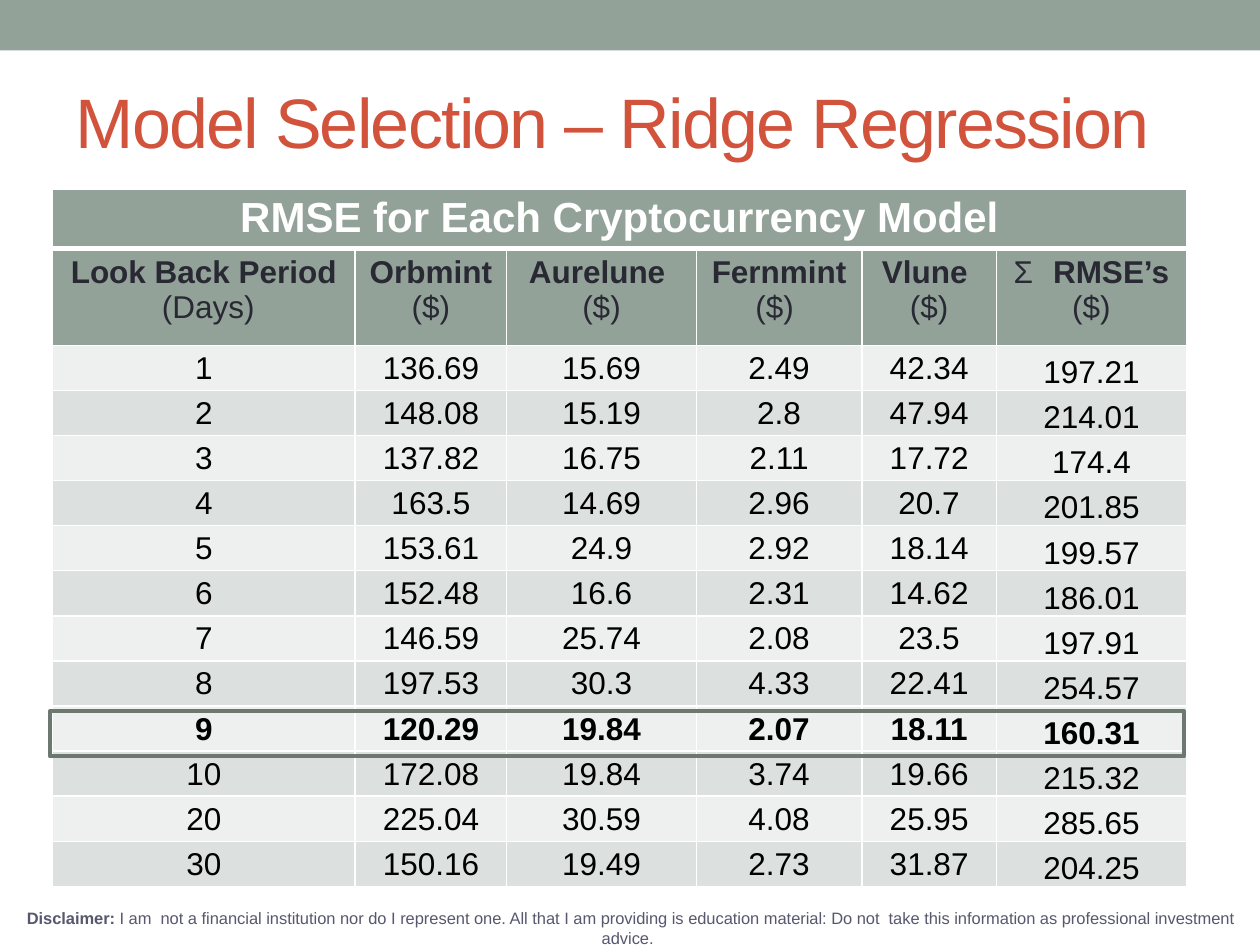
from dataclasses import dataclass

from pptx import Presentation
from pptx.dml.color import RGBColor
from pptx.enum import shapes, text
from pptx.oxml import parse_xml
from pptx.oxml import ns
from pptx.util import Pt


@dataclass(frozen=True)
class Theme:
    """Colours, type sizes and font of the slide."""
    font: str = "Arial"
    sage: str = "93A299"
    outline: str = "6D7871"
    accent: str = "D2533C"
    ink: str = "292934"
    muted: str = "57576E"
    black: str = "000000"
    white: str = "FFFFFF"
    bands: tuple = ("EEF0EF", "DCE0DE")
    title: float = 40
    caption: float = 24
    body: float = 18
    note: float = 9.4


THEME = Theme()
CAPTION = "RMSE for Each Cryptocurrency Model"
HEADINGS = [("Look Back Period", " (Days)"), ("Orbmint ", "($)"), ("Aurelune ", "($)"),
            ("Fernmint ", "($) "), ("Vlune ", "($)"), ("RMSE’s", "($)")]
RESULTS = [
    ("1", "136.69", "15.69", "2.49", "42.34", "197.21"),
    ("2", "148.08", "15.19", "2.8", "47.94", "214.01"),
    ("3", "137.82", "16.75", "2.11", "17.72", "174.4"),
    ("4", "163.5", "14.69", "2.96", "20.7", "201.85"),
    ("5", "153.61", "24.9", "2.92", "18.14", "199.57"),
    ("6", "152.48", "16.6", "2.31", "14.62", "186.01"),
    ("7", "146.59", "25.74", "2.08", "23.5", "197.91"),
    ("8", "197.53", "30.3", "4.33", "22.41", "254.57"),
    ("9", "120.29", "19.84", "2.07", "18.11", "160.31"),
    ("10", "172.08", "19.84", "3.74", "19.66", "215.32"),
    ("20", "225.04", "30.59", "4.08", "25.95", "285.65"),
    ("30", "150.16", "19.49", "2.73", "31.87", "204.25"),
]
BEST_PERIOD = "9"
COLUMN_WIDTHS = (173, 86.5, 108.5, 94.5, 77, 108.5)
CAPTION_HEIGHT, HEADING_HEIGHT, RESULT_HEIGHT = 33.6, 55.4, 25.77


def set_all(target, values):
    """Set every attribute named in a dict."""
    for name, value in values.items():
        setattr(target, name, value)


def add_run(paragraph, words, size, color, bold=False):
    """Append a formatted run to a paragraph."""
    run = paragraph.add_run()
    run.text = words
    set_all(run.font, {"name": THEME.font, "size": Pt(size), "bold": bold})
    run.font.color.rgb = RGBColor.from_string(color)
    return run


def add_rectangle(slide, box, fill=None, line=None):
    """Draw a flat rectangle with an optional fill and outline."""
    rectangle = slide.shapes.add_shape(shapes.MSO_SHAPE.RECTANGLE, *map(Pt, box))
    rectangle.shadow.inherit = False
    if fill:
        rectangle.fill.solid()
        rectangle.fill.fore_color.rgb = RGBColor.from_string(fill)
    else:
        rectangle.fill.background()
    if line:
        rectangle.line.color.rgb = RGBColor.from_string(line)
        rectangle.line.width = Pt(2.25)
    else:
        rectangle.line.fill.background()


def place_title(slide, box):
    """Move and format the title placeholder."""
    title = slide.shapes.title
    set_all(title, dict(zip(("left", "top", "width", "height"), map(Pt, box))))
    set_all(title.text_frame, {"vertical_anchor": text.MSO_ANCHOR.MIDDLE, "word_wrap": True,
                               "auto_size": text.MSO_AUTO_SIZE.NONE})
    heading = title.text_frame.paragraphs[0]
    heading.alignment = text.PP_ALIGN.LEFT
    run = add_run(heading, "Model Selection – Ridge Regression", THEME.title, THEME.accent)
    run.font._element.set("spc", "-100")


def style_cell(cell, fill, top=1, bottom=1):
    """Fill a cell and give it white borders."""
    cell.fill.solid()
    cell.fill.fore_color.rgb = RGBColor.from_string(fill)
    properties = cell._tc.get_or_add_tcPr()
    widths = {"lnL": 1, "lnR": 1, "lnT": top, "lnB": bottom}
    for position, (edge, width) in enumerate(widths.items()):
        properties.insert(position, parse_xml(
            f'<a:{edge} {ns.nsdecls("a")} w="{Pt(width)}"><a:solidFill>'
            f'<a:srgbClr val="{THEME.white}"/></a:solidFill></a:{edge}>'))


def fill_cell(cell, lines, size, color):
    """Write centred (words, bold) lines into a cell."""
    for index, (words, bold) in enumerate(lines):
        frame = cell.text_frame
        paragraph = frame.add_paragraph() if index else frame.paragraphs[0]
        paragraph.alignment = text.PP_ALIGN.CENTER
        add_run(paragraph, words, size, color, bold)


def add_bullet(paragraph, mark, indent):
    """Give a paragraph a hanging character bullet."""
    properties = paragraph._p.get_or_add_pPr()
    properties.set("marL", str(Pt(indent)))
    properties.set("indent", str(-Pt(indent)))
    for tag, value in (("buFont", f'typeface="{THEME.font}"'), ("buChar", f'char="{mark}"')):
        properties.append(parse_xml(f'<a:{tag} {ns.nsdecls("a")} {value}/>'))


def place_results(slide, left, top):
    """Build the error table and frame its best row."""
    heights = [CAPTION_HEIGHT, HEADING_HEIGHT] + [RESULT_HEIGHT] * len(RESULTS)
    width = sum(COLUMN_WIDTHS)
    table = slide.shapes.add_table(len(heights), len(COLUMN_WIDTHS), Pt(left), Pt(top),
                                   Pt(width), Pt(sum(heights))).table
    set_all(table, {"first_row": False, "horz_banding": False})
    for column, column_width in zip(table.columns, COLUMN_WIDTHS):
        column.width = Pt(column_width)
    for row, height in zip(table.rows, heights):
        row.height = Pt(height)

    caption = table.cell(0, 0)
    caption.merge(table.cell(0, len(COLUMN_WIDTHS) - 1))
    set_all(caption, {"margin_top": Pt(3), "margin_bottom": Pt(2.8)})
    fill_cell(caption, [(CAPTION, True)], THEME.caption, THEME.white)
    for column, (name, unit) in enumerate(HEADINGS):
        style_cell(table.cell(0, column), THEME.sage, bottom=3)
        heading = table.cell(1, column)
        style_cell(heading, THEME.sage, top=3)
        fill_cell(heading, [(name, True), (unit, False)], THEME.body, THEME.ink)
    add_bullet(heading.text_frame.paragraphs[0], "Σ", 22.5)

    for index, result in enumerate(RESULTS):
        for column, value in enumerate(result):
            cell = table.cell(index + 2, column)
            is_sum = column == len(result) - 1
            set_all(cell, {
                "margin_left": Pt(0.7), "margin_right": Pt(0.7),
                "margin_top": Pt(0.7), "margin_bottom": 0,
                "vertical_anchor": text.MSO_ANCHOR.BOTTOM if is_sum else text.MSO_ANCHOR.MIDDLE})
            style_cell(cell, THEME.bands[index % 2])
            fill_cell(cell, [(value, result[0] == BEST_PERIOD)], THEME.body, THEME.black)

    best = [result[0] for result in RESULTS].index(BEST_PERIOD)
    best_top = top + sum(heights[:best + 2])
    add_rectangle(slide, (left - 1.4, best_top + 2.8, width, 26), line=THEME.outline)


def place_disclaimer(slide, box):
    """Add the centred disclaimer."""
    frame = slide.shapes.add_textbox(*map(Pt, box)).text_frame
    frame.word_wrap = True
    note = frame.paragraphs[0]
    note.alignment = text.PP_ALIGN.CENTER
    add_run(note, "Disclaimer: ", THEME.note, THEME.muted, True)
    add_run(note, "I am  not a financial institution nor do I represent one. All that I am "
            "providing is education material: Do not  take this information as professional "
            "investment advice. ", THEME.note, THEME.muted)


def main():
    """Build and save the slide."""
    deck = Presentation()
    set_all(deck, {"slide_width": Pt(720), "slide_height": Pt(540)})
    slide = deck.slides.add_slide(deck.slide_layouts[5])
    add_rectangle(slide, (0, 0, 720, 28.8), fill=THEME.sage)
    place_title(slide, (36, 30.2, 648, 77.8))
    place_results(slide, 30, 108.3)
    place_disclaimer(slide, (0, 515.5, 720, 24.5))
    deck.save("out.pptx")


if __name__ == "__main__":
    main()
